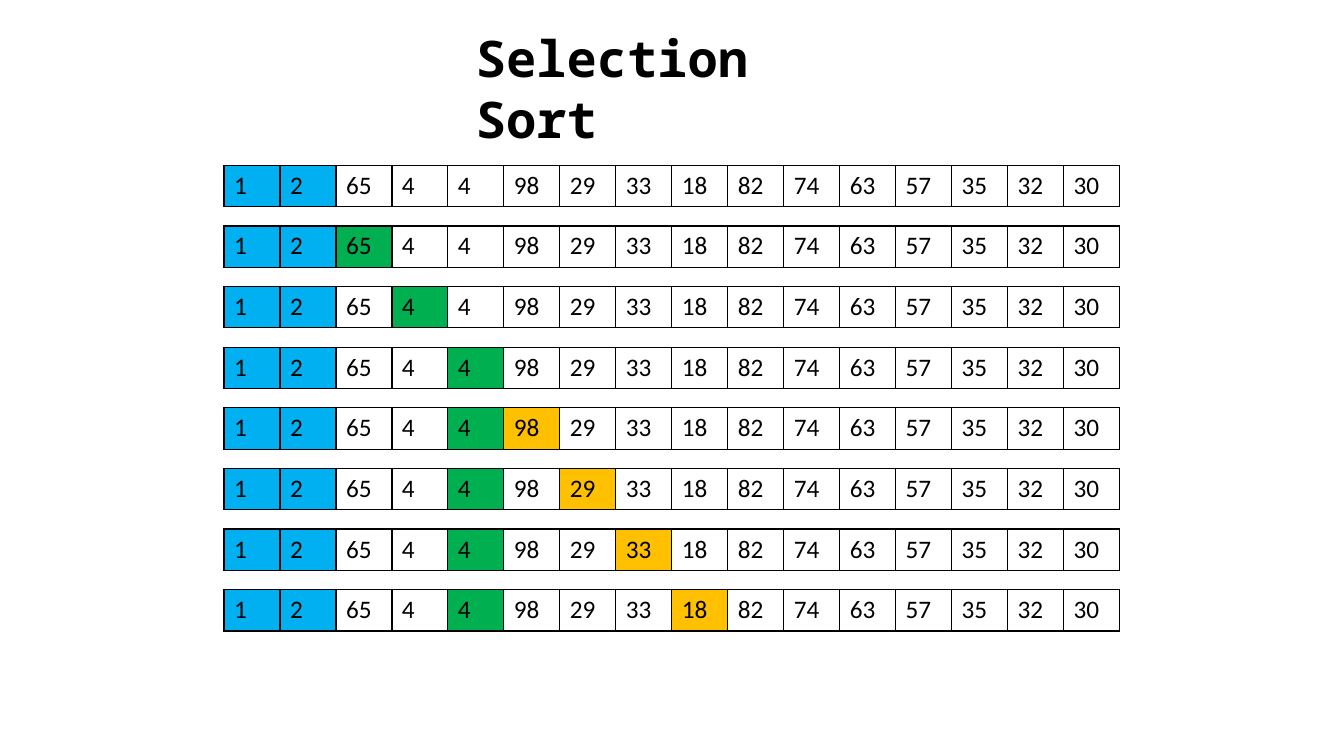
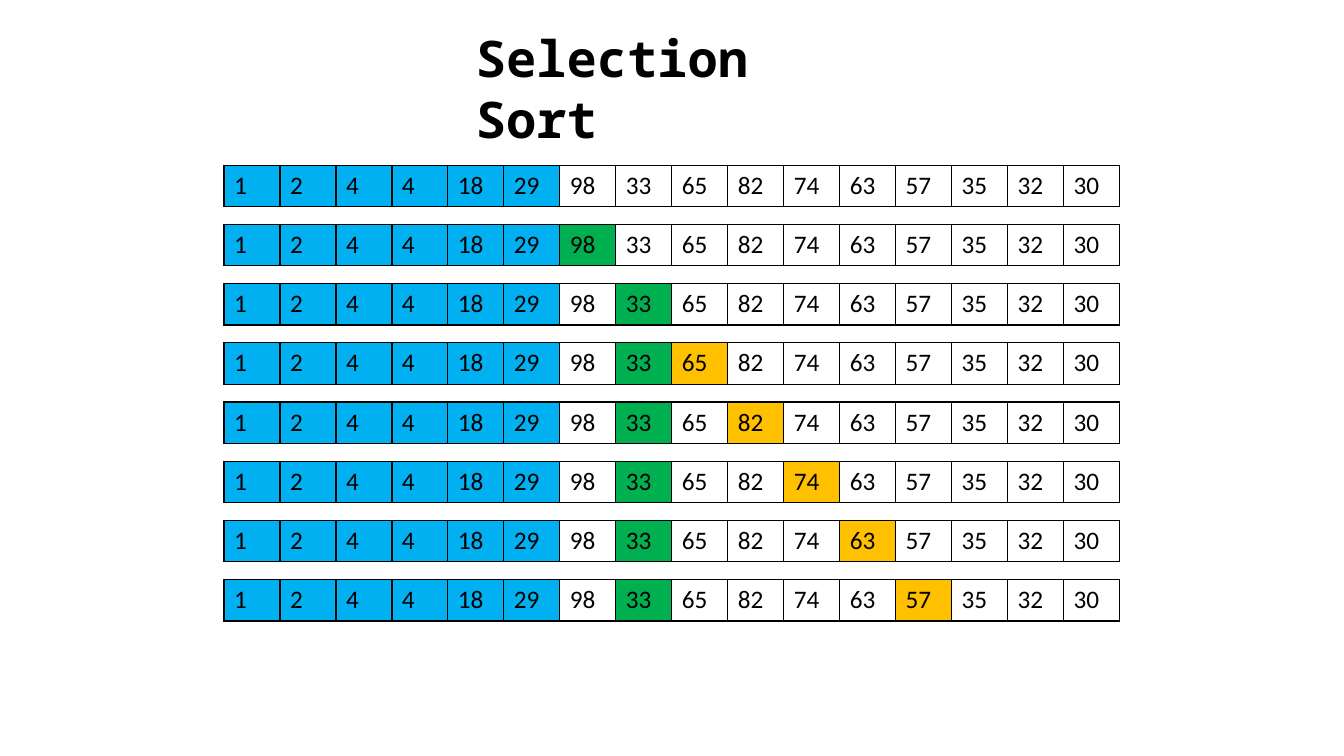
import pptx
import pptx.dml.color
import pptx.enum.text
import pptx.oxml
import pptx.oxml.ns
import pptx.util

SLIDE_WIDTH, SLIDE_HEIGHT = 13.33, 7.5
TITLE_BOX = (4.62, 0.22, 4.09, 0.71)
TITLE_FONT, CELL_FONT = "Noto Sans Mono", "Calibri"

# The array rows share one grid
ARRAY_LEFT, ARRAY_TOP = SLIDE_WIDTH / 6, 1.64
ARRAY_WIDTH, ROW_HEIGHT = SLIDE_WIDTH * 2 / 3, 0.41
ROW_COUNT = 8

BLACK, WHITE = "000000", "FFFFFF"
SORTED, MINIMUM, SCANNED = "00B0F0", "00B050", "FFC000"

# Values, number already sorted, top of the last row
PASSES = [
    ([1, 2, 65, 4, 4, 98, 29, 33, 18, 82, 74, 63, 57, 35, 32, 30], 2, 5.85),
    ([1, 2, 4, 4, 18, 29, 98, 33, 65, 82, 74, 63, 57, 35, 32, 30], 6, 5.75),
]


def color(value):
    return pptx.dml.color.RGBColor.from_string(value)


def format_runs(text_frame, font_name, size, bold=False):
    for paragraph in text_frame.paragraphs:
        for run in paragraph.runs:
            run.font.name = font_name
            run.font.size = pptx.util.Pt(size)
            run.font.bold = bold
            run.font.color.rgb = color(BLACK)


def set_title(slide, text):
    title = slide.shapes.title
    title.left, title.top, title.width, title.height = map(pptx.util.Inches, TITLE_BOX)
    text_frame = title.text_frame
    text_frame.text = text
    text_frame.word_wrap = True
    text_frame.auto_size = pptx.enum.text.MSO_AUTO_SIZE.SHAPE_TO_FIT_TEXT
    text_frame.vertical_anchor = pptx.enum.text.MSO_ANCHOR.TOP
    text_frame.paragraphs[0].alignment = pptx.enum.text.PP_ALIGN.LEFT
    format_runs(text_frame, TITLE_FONT, 36, bold=True)


def add_borders(cell):
    properties = cell._tc.get_or_add_tcPr()
    for side in ("lnL", "lnR", "lnT", "lnB"):
        properties.append(pptx.oxml.parse_xml(
            f'<a:{side} {pptx.oxml.ns.nsdecls("a")} w="{pptx.util.Pt(1)}">'
            f'<a:solidFill><a:srgbClr val="{BLACK}"/></a:solidFill></a:{side}>'))


def add_array(slide, top, values, fills):
    """Draw one state of the array as a single-row table."""
    table = slide.shapes.add_table(
        1, len(values), pptx.util.Inches(ARRAY_LEFT), pptx.util.Inches(top),
        pptx.util.Inches(ARRAY_WIDTH), pptx.util.Inches(ROW_HEIGHT)).table
    table.first_row = table.horz_banding = False
    for index, value in enumerate(values):
        cell = table.cell(0, index)
        cell.text = str(value)
        format_runs(cell.text_frame, CELL_FONT, 18)
        add_borders(cell)
        cell.fill.solid()
        cell.fill.fore_color.rgb = color(fills.get(index, WHITE))


def scan_states(values, sorted_count):
    """Yield the cell fills before the scan and after each scanned value."""
    sorted_fills = {index: SORTED for index in range(sorted_count)}
    yield sorted_fills
    minimum = sorted_count
    for index in range(sorted_count, sorted_count + ROW_COUNT - 1):
        if values[index] <= values[minimum]:
            minimum = index
        yield {**sorted_fills, index: SCANNED, minimum: MINIMUM}


def add_pass_slide(presentation, values, sorted_count, last_top):
    slide = presentation.slides.add_slide(presentation.slide_layouts[5])
    set_title(slide, "Selection Sort")
    pitch = (last_top - ARRAY_TOP) / (ROW_COUNT - 1)
    for row, fills in enumerate(scan_states(values, sorted_count)):
        add_array(slide, ARRAY_TOP + row * pitch, values, fills)


def main():
    presentation = pptx.Presentation()
    presentation.slide_width = pptx.util.Inches(SLIDE_WIDTH)
    presentation.slide_height = pptx.util.Inches(SLIDE_HEIGHT)
    for values, sorted_count, last_top in PASSES:
        add_pass_slide(presentation, values, sorted_count, last_top)
    presentation.save("out.pptx")


if __name__ == "__main__":
    main()
